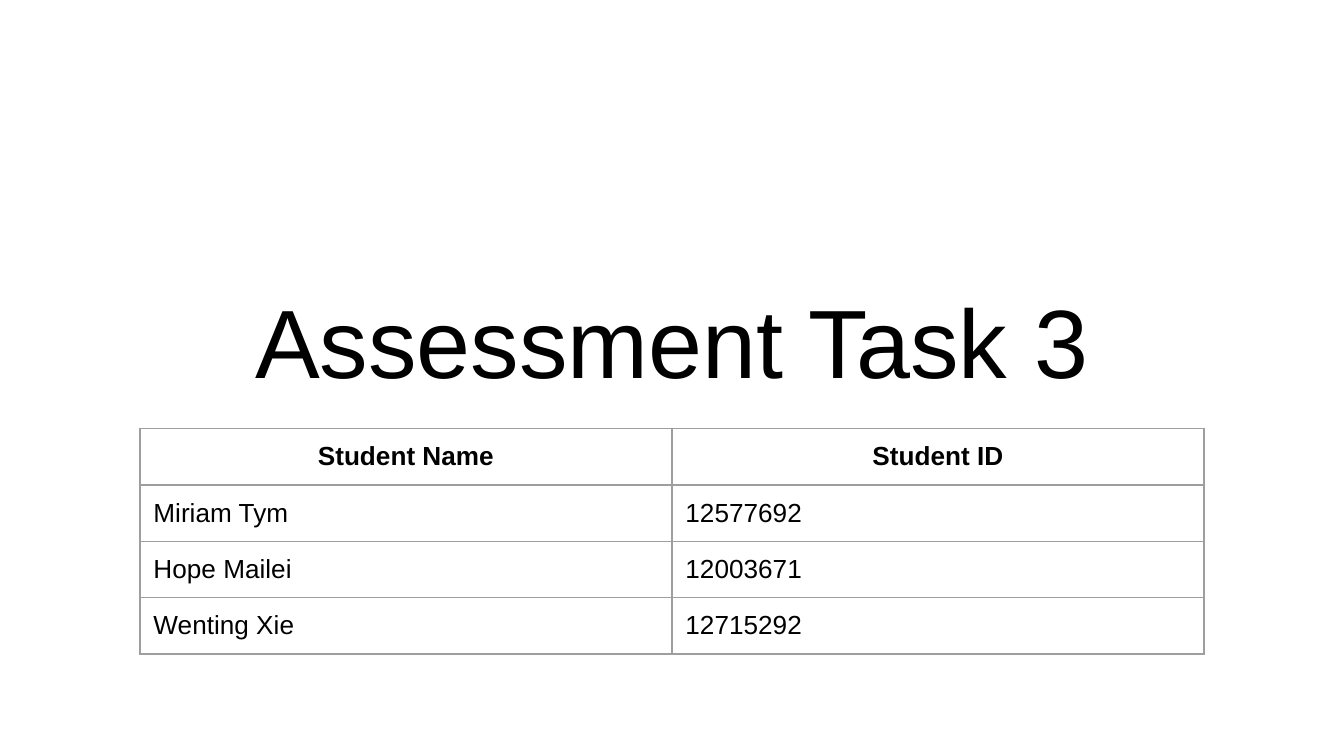
from lxml import etree
from pptx import Presentation
from pptx.dml.color import RGBColor
from pptx.enum import text
from pptx.oxml.ns import qn
from pptx.util import Pt

INK = "000000"
GREY = "9E9E9E"
ROWS = [
    ("Student Name", "Student ID"),
    ("Miriam Tym", "12577692"),
    ("Hope Mailei", "12003671"),
    ("Wenting Xie", "12715292"),
]


def paint(color):
    return RGBColor.from_string(color)


def style(para, size, bold=False, center=False):
    para.alignment = text.PP_ALIGN.CENTER if center else text.PP_ALIGN.LEFT
    for run in para.runs:
        font = run.font
        font.name, font.size, font.bold = "Arial", Pt(size), bold
        font.color.rgb = paint(INK)


def pad(box):
    box.margin_left = box.margin_right = Pt(7.2)
    box.margin_top = box.margin_bottom = Pt(7.2)


def edge(cell):
    props = cell._tc.get_or_add_tcPr()
    for spot, side in enumerate(("lnL", "lnR", "lnT", "lnB")):
        line = etree.Element(qn(f"a:{side}"), w=str(Pt(0.75)))
        fill = etree.SubElement(line, qn("a:solidFill"))
        etree.SubElement(fill, qn("a:srgbClr"), val=GREY)
        props.insert(spot, line)


def add_title(slide, words):
    title = slide.shapes.title
    title.left, title.top = Pt(24.5), Pt(58.6)
    title.width, title.height = Pt(671), Pt(161.6)
    frame = title.text_frame
    frame.text = words
    frame.word_wrap = True
    frame.auto_size = text.MSO_AUTO_SIZE.NONE
    frame.vertical_anchor = text.MSO_ANCHOR.BOTTOM
    pad(frame)
    style(frame.paragraphs[0], 52, center=True)


def add_grid(slide, rows):
    shape = slide.shapes.add_table(
        len(rows), len(rows[0]), Pt(75), Pt(229.6), Pt(570), Pt(120.8))
    grid = shape.table
    grid.horz_banding = False
    grid.first_row = False
    for r, row in enumerate(rows):
        for c, words in enumerate(row):
            cell = grid.cell(r, c)
            cell.text_frame.text = words
            cell.fill.background()
            pad(cell)
            edge(cell)
            style(cell.text_frame.paragraphs[0], 14, bold=r == 0, center=r == 0)


def main():
    deck = Presentation()
    deck.slide_width, deck.slide_height = Pt(720), Pt(405)
    slide = deck.slides.add_slide(deck.slide_layouts[5])
    add_title(slide, "Assessment Task 3")
    add_grid(slide, ROWS)
    deck.save("out.pptx")


if __name__ == "__main__":
    main()
